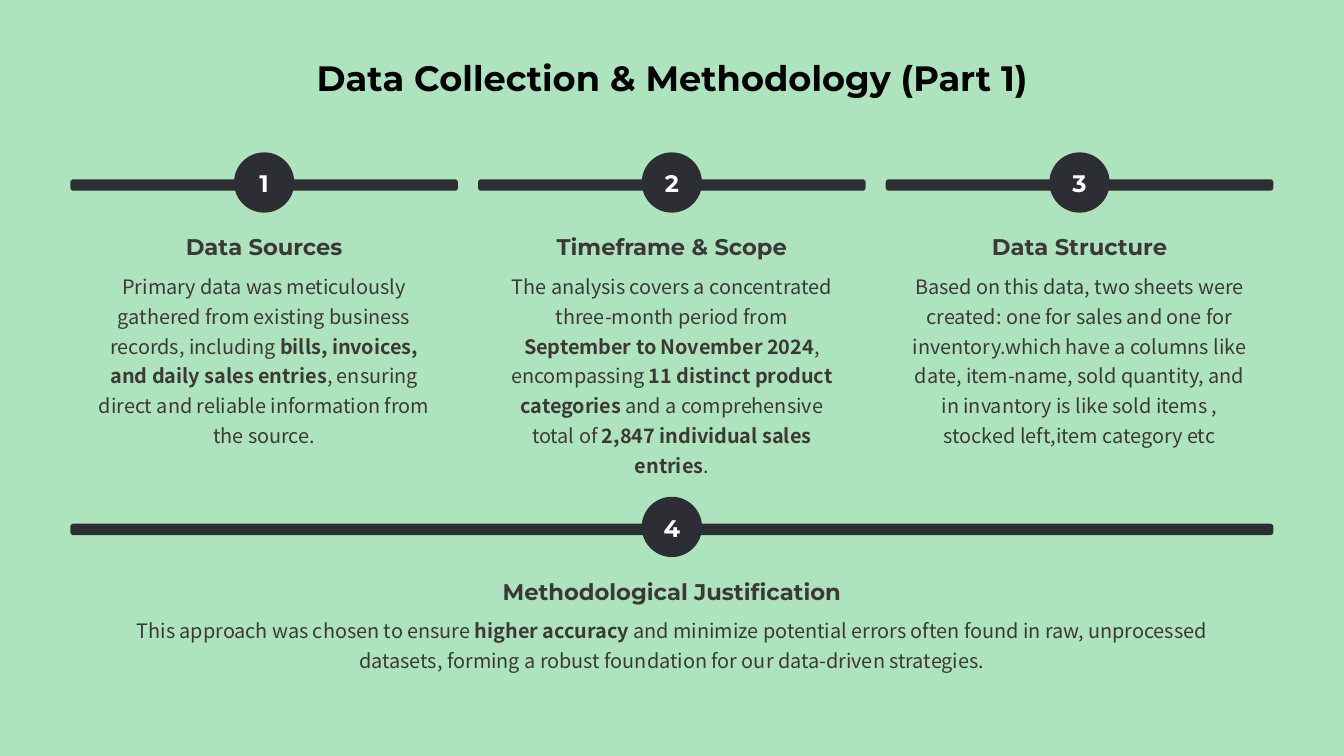
from dataclasses import dataclass

from pptx import Presentation
from pptx.dml.color import RGBColor
from pptx.enum.shapes import MSO_SHAPE
from pptx.enum.text import MSO_ANCHOR, PP_ALIGN
from pptx.util import Cm, Pt

ROUNDED = MSO_SHAPE.ROUNDED_RECTANGLE
OVAL = MSO_SHAPE.OVAL
CENTER = PP_ALIGN.CENTER
TOP, MIDDLE = MSO_ANCHOR.TOP, MSO_ANCHOR.MIDDLE


@dataclass(frozen=True)
class Theme:
    background: RGBColor = RGBColor(0xAE, 0xE4, 0xBD)
    dark: RGBColor = RGBColor(0x2D, 0x2E, 0x34)
    text: RGBColor = RGBColor(0x3D, 0x38, 0x38)
    black: RGBColor = RGBColor(0, 0, 0)
    white: RGBColor = RGBColor(255, 255, 255)
    heading_font: str = "Montserrat"
    body_font: str = "Noto Sans CJK SC"
    # Type size and line spacing in points
    title: tuple = (37.7, 46.9)
    number: tuple = (25.6, 38.1)
    heading: tuple = (24.3, 30)
    body: tuple = (21.3, 31.9)


theme = Theme()


def write(shape, runs, font_name, sizes, color, bold=False, anchor=TOP):
    """Fill a shape with one centred paragraph; runs are (text, bold) pairs."""
    frame = shape.text_frame
    frame.word_wrap = True
    frame.vertical_anchor = anchor
    frame.margin_left = frame.margin_right = frame.margin_top = frame.margin_bottom = 0
    paragraph = frame.paragraphs[0]
    paragraph.alignment = CENTER
    paragraph.line_spacing = Pt(sizes[1])
    paragraph.space_before = Pt(0)
    paragraph.font.name = font_name
    paragraph.font.size = Pt(sizes[0])
    paragraph.font.color.rgb = color
    paragraph.font.bold = bold
    for text, emphasis in runs:
        run = paragraph.add_run()
        run.text = text
        if emphasis:
            run.font.bold = True


def add_dark_shape(kind, left, top, width, height):
    shape = slide.shapes.add_shape(kind, Cm(left), Cm(top), Cm(width), Cm(height))
    shape.shadow.inherit = False
    shape.fill.solid()
    shape.fill.fore_color.rgb = theme.dark
    shape.line.fill.background()
    return shape


presentation = Presentation()
presentation.slide_width = Cm(50.8)
presentation.slide_height = Cm(28.58)
slide = presentation.slides.add_slide(presentation.slide_layouts[5])
slide.background.fill.solid()
slide.background.fill.fore_color.rgb = theme.background

# Title
title = slide.shapes.title
title.left, title.top, title.width, title.height = Cm(8), Cm(2.06), Cm(34.8), Cm(1.65)
write(title, [("Data Collection & Methodology (Part 1)", False)],
      theme.heading_font, theme.title, theme.black, bold=True)

# Section grid in centimetres: three columns above one full-width row
MARGIN, COLUMN, STEP = 2.66, 14.65, 15.41
FULL = 2 * STEP + COLUMN
UPPER, LOWER = 6.78, 19.8
BAR, CIRCLE, INSET = 0.43, 2.28, 0.86

# Column, bar top, width, heading width, body height, heading, body runs
sections = [
    (0, UPPER, COLUMN, 8.61, 6.73, "Data Sources", [
        ("Primary data was meticulously gathered from existing business records, including ", False),
        ("bills, invoices, and daily sales entries", True),
        (", ensuring direct and reliable information from the source.", False),
    ]),
    (1, UPPER, COLUMN, 8.76, 7.87, "Timeframe & Scope", [
        ("The analysis covers a concentrated three-month period from ", False),
        ("September to November 2024", True),
        (", encompassing ", False),
        ("11 distinct product categories", True),
        (" and a comprehensive total of ", False),
        ("2,847 individual sales entries", True),
        (".", False),
    ]),
    (2, UPPER, COLUMN, 8.61, 6.76, "Data Structure", [
        ("Based on this data, two sheets were created: one for sales and one for "
         "inventory.which have a columns like date, item-name, sold quantity, and "
         "in invantory is like sold items , stocked left,item category etc", False),
    ]),
    (0, LOWER, FULL, 12.88, 2.26, "Methodological Justification", [
        ("This approach was chosen to ensure ", False),
        ("higher accuracy", True),
        (" and minimize potential errors often found in raw, unprocessed datasets, "
         "forming a robust foundation for our data-driven strategies.", False),
    ]),
]

for number, section in enumerate(sections, start=1):
    column, top, width, heading_width, body_height, heading, body = section
    left = MARGIN + column * STEP
    center = left + width / 2

    # Bar and numbered circle
    bar = add_dark_shape(ROUNDED, left, top, width, BAR)
    bar.adjustments[0] = 0.26
    circle = add_dark_shape(OVAL, center - CIRCLE / 2, top - 1.02, CIRCLE, CIRCLE)
    write(circle, [(str(number), False)], theme.heading_font, theme.number,
          theme.white, bold=True, anchor=MIDDLE)
    circle.text_frame.margin_bottom = Cm(0.2)

    # Heading and body text
    heading_box = slide.shapes.add_textbox(
        Cm(center - heading_width / 2), Cm(top + 2.01), Cm(heading_width), Cm(1.07))
    write(heading_box, [(heading, False)], theme.heading_font, theme.heading,
          theme.text, bold=True)
    body_box = slide.shapes.add_textbox(
        Cm(left + INSET), Cm(top + 3.38), Cm(width - 2 * INSET), Cm(body_height))
    write(body_box, body, theme.body_font, theme.body, theme.text)

presentation.save("out.pptx")
